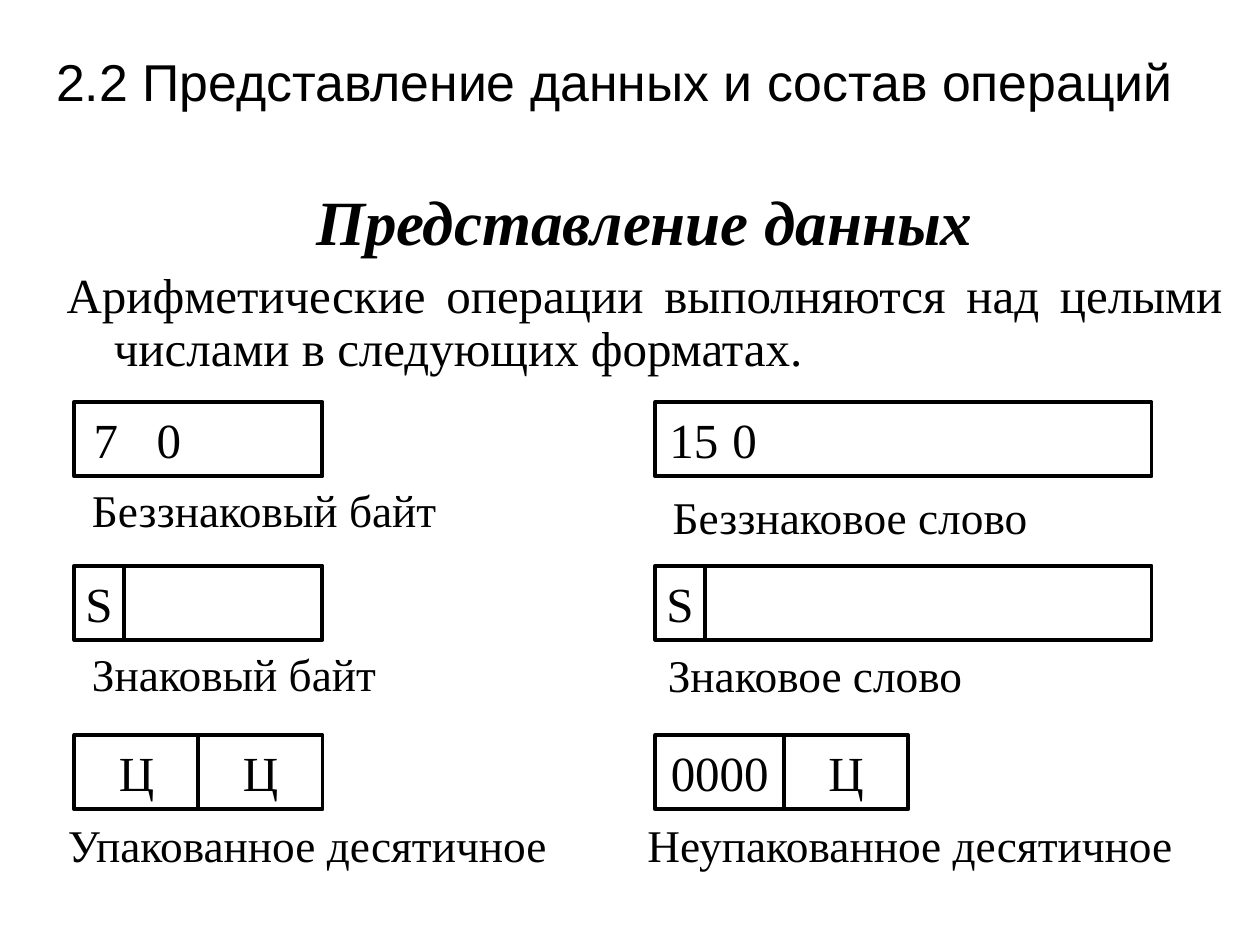
from pptx import Presentation
from pptx.dml.color import RGBColor
from pptx.enum.shapes import MSO_SHAPE
from pptx.enum.text import MSO_ANCHOR, PP_ALIGN
from pptx.oxml.ns import qn
from pptx.util import Pt
from lxml import etree

RECTANGLE = MSO_SHAPE.RECTANGLE
TOP, MIDDLE = MSO_ANCHOR.TOP, MSO_ANCHOR.MIDDLE
LEFT, CENTER, JUSTIFY = PP_ALIGN.LEFT, PP_ALIGN.CENTER, PP_ALIGN.JUSTIFY
BLACK = RGBColor(0, 0, 0)
SERIF, SANS = "Times New Roman", "Arial"

TITLE = "2.2 Представление данных и состав операций"
HEADING = "Представление данных"
INTRO = "Арифметические операции выполняются над целыми числами в следующих форматах."

BYTE_LEFT, WORD_LEFT = 42.5, 374.5
BYTE_WIDTH, WORD_WIDTH = 141.8, 283.5
SIGN_WIDTH, DIGIT_WIDTH, ZEROS_WIDTH = 28.3, 70.9, 73.5
CELL_HEIGHT, CAPTION_HEIGHT = 42.5, 39
UNSIGNED_TOP, SIGNED_TOP, DECIMAL_TOP = 229.7, 323.2, 420

BIT_RANGES = [
    (BYTE_LEFT, BYTE_WIDTH, "7\t0", 11),
    (WORD_LEFT, WORD_WIDTH, "15\t0", 8),
]
FIELD_ROWS = [
    (BYTE_LEFT, SIGNED_TOP, [("S", SIGN_WIDTH), ("", BYTE_WIDTH - SIGN_WIDTH)]),
    (WORD_LEFT, SIGNED_TOP, [("S", SIGN_WIDTH), ("", WORD_WIDTH - SIGN_WIDTH)]),
    (BYTE_LEFT, DECIMAL_TOP, [("Ц", DIGIT_WIDTH), ("Ц", DIGIT_WIDTH)]),
    (WORD_LEFT, DECIMAL_TOP, [("0000", ZEROS_WIDTH), ("Ц", DIGIT_WIDTH)]),
]
CAPTIONS = [
    ("Беззнаковый байт", 45.4, 272.2, 306),
    ("Беззнаковое слово", 377.3, 275.8, 306),
    ("Знаковый байт", 45.4, 365.8, 306),
    ("Знаковое слово", 374.5, 366.5, 306),
    ("Упакованное десятичное", 31.7, 463.7, 320.4),
    ("Неупакованное десятичное", 362.9, 463.7, 345.6),
]


def write(shape, text, size, font=SERIF, align=LEFT, anchor=TOP, wrap=True):
    frame = shape.text_frame
    frame.word_wrap = wrap
    frame.vertical_anchor = anchor
    frame.text = text
    paragraph = frame.paragraphs[0]
    paragraph.alignment = align
    paragraph.font.name = font
    paragraph.font.size = Pt(size)
    paragraph.font.color.rgb = BLACK
    return paragraph


def add_text(slide, text, left, top, width, height, size, align=LEFT):
    box = slide.shapes.add_textbox(Pt(left), Pt(top), Pt(width), Pt(height))
    return write(box, text, size, align=align)


def add_cell(slide, left, top, width):
    cell = slide.shapes.add_shape(RECTANGLE, Pt(left), Pt(top), Pt(width), Pt(CELL_HEIGHT))
    cell.shadow.inherit = False
    cell.fill.background()
    cell.line.color.rgb = BLACK
    cell.line.width = Pt(2.25)
    return cell


def add_bit_range(slide, left, width, text, inset):
    cell = add_cell(slide, left, UNSIGNED_TOP, width)
    cell.text_frame.margin_left = Pt(inset)
    cell.text_frame.margin_right = 0
    properties = cell.text_frame.paragraphs[0]._p.get_or_add_pPr()
    tabs = etree.SubElement(properties, qn("a:tabLst"))
    etree.SubElement(tabs, qn("a:tab"), pos=str(Pt(width - 2 * inset)), algn="r")
    write(cell, text, 28, anchor=MIDDLE)


def main():
    presentation = Presentation()
    presentation.slide_width, presentation.slide_height = Pt(720), Pt(540)
    slide = presentation.slides.add_slide(presentation.slide_layouts[5])

    title = slide.shapes.title
    title.left, title.top, title.width, title.height = Pt(8.6), Pt(9.4), Pt(686.2), Pt(77.8)
    write(title, TITLE, 29.6, SANS, CENTER, MIDDLE).line_spacing = 0.9

    heading = add_text(slide, HEADING, 31, 105.8, 674.6, 56.9, 36, CENTER)
    heading.line_spacing = 0.9
    heading.font.bold = heading.font.italic = True

    intro = add_text(slide, INTRO, 31, 151.2, 674.6, 70.6, 28, JUSTIFY)
    intro.line_spacing = 0.9
    properties = intro._p.get_or_add_pPr()
    properties.set("marL", str(Pt(27)))
    properties.set("indent", str(-Pt(27)))

    for left, width, text, inset in BIT_RANGES:
        add_bit_range(slide, left, width, text, inset)

    for left, top, fields in FIELD_ROWS:
        for text, width in fields:
            cell = add_cell(slide, left, top, width)
            if text:
                write(cell, text, 28, align=CENTER, anchor=MIDDLE, wrap=False)
            left += width

    for text, left, top, width in CAPTIONS:
        add_text(slide, text, left, top, width, CAPTION_HEIGHT, 25.9)

    presentation.save("out.pptx")


if __name__ == "__main__":
    main()
